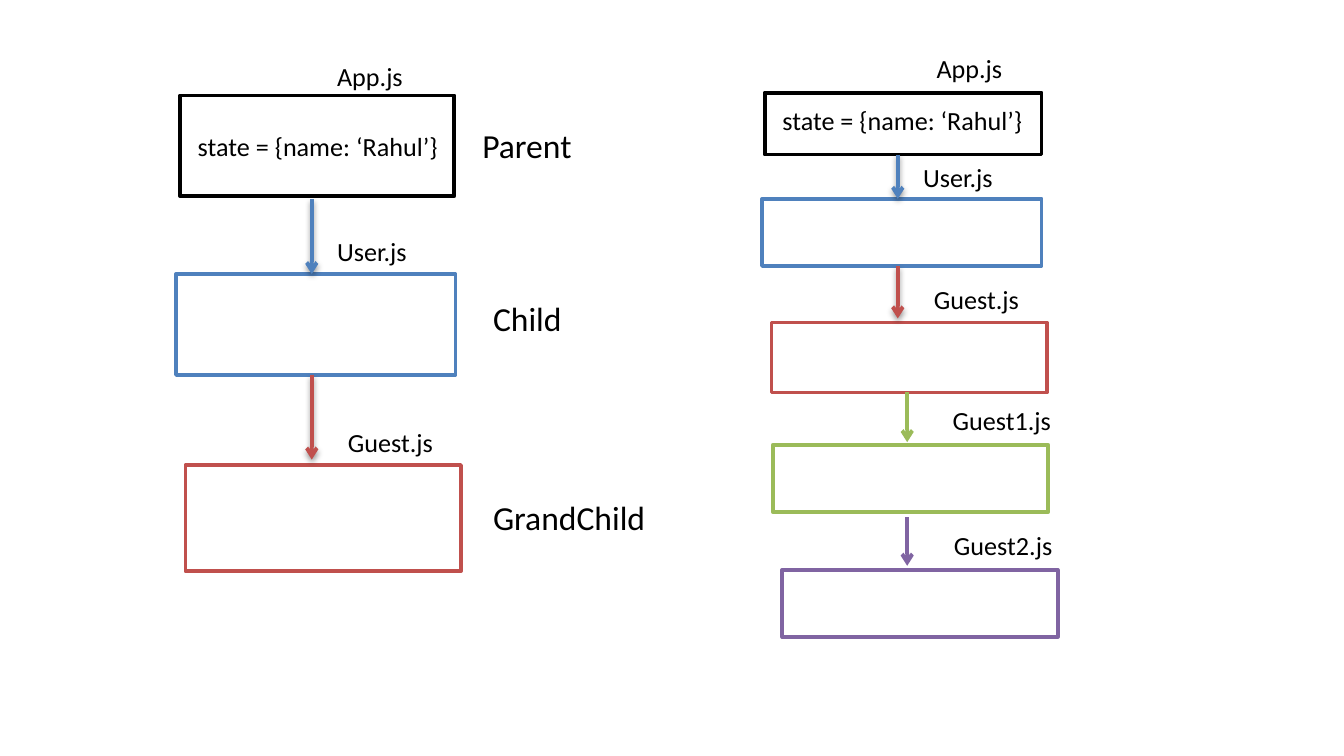
from lxml import etree
from pptx import Presentation
from pptx.dml.color import RGBColor
from pptx.enum.shapes import MSO_CONNECTOR, MSO_SHAPE
from pptx.enum.text import MSO_ANCHOR, PP_ALIGN
from pptx.oxml.ns import qn
from pptx.util import Inches, Pt

BLACK = RGBColor(0x00, 0x00, 0x00)
WHITE = RGBColor(0xFF, 0xFF, 0xFF)
BLUE = RGBColor(0x4F, 0x81, 0xBD)
RED = RGBColor(0xC0, 0x50, 0x4D)
GREEN = RGBColor(0x9B, 0xBB, 0x59)
PURPLE = RGBColor(0x80, 0x64, 0xA2)
SHADOWED = (BLUE, RED)
FONT = "Calibri"
SLIDE_W = 10
SLIDE_H = SLIDE_W * 9 / 16
LABEL_H, ROLE_H = 0.34, 0.4

# Components: file, colour, box (left, top, width, height), label (left, top, width)
COMPONENTS = [
    ("App.js", BLACK, (1.34, 0.71, 2.04, 0.75), (2.41, 0.4, 0.7)),
    ("User.js", BLUE, (1.31, 2.04, 2.08, 0.75), (2.41, 1.7, 0.73)),
    ("Guest.js", RED, (1.38, 3.46, 2.05, 0.79), (2.49, 3.12, 0.84)),
    ("App.js", BLACK, (5.69, 0.69, 2.06, 0.46), (6.87, 0.34, 0.7)),
    ("User.js", BLUE, (5.67, 1.48, 2.08, 0.5), (6.77, 1.15, 0.73)),
    ("Guest.js", RED, (5.74, 2.4, 2.05, 0.52), (6.85, 2.06, 0.84)),
    ("Guest1.js", GREEN, (5.75, 3.31, 2.05, 0.5), (6.99, 2.96, 0.94)),
    ("Guest2.js", PURPLE, (5.82, 4.24, 2.05, 0.5), (7, 3.89, 0.94)),
]
# Arrows: colour, x, start y, end y
ARROWS = [
    (BLUE, 2.32, 1.48, 2.04), (RED, 2.32, 2.79, 3.42),
    (BLUE, 6.68, 1.15, 1.48), (RED, 6.68, 1.98, 2.37),
    (GREEN, 6.75, 2.92, 3.29), (PURPLE, 6.75, 3.85, 4.21),
]
STATE = "state = {name: ‘Rahul’}"
STATE_AT = [(1.36, 0.92, 2.01), (5.71, 0.73, 2.01)]
ROLES = [
    ("Parent", (3.49, 0.88, 0.87)),
    ("Child", (3.57, 2.17, 0.72)),
    ("GrandChild", (3.57, 3.65, 1.35)),
]

prs = Presentation()
prs.slide_width, prs.slide_height = Inches(SLIDE_W), Inches(SLIDE_H)
s = prs.slides.add_slide(prs.slide_layouts[6])


def add_text(text, at, height=LABEL_H, size=14, align=PP_ALIGN.LEFT):
    left, top, width = at
    tf = s.shapes.add_textbox(*map(Inches, (left, top, width, height))).text_frame
    tf.word_wrap = False
    tf.vertical_anchor = MSO_ANCHOR.TOP
    p = tf.paragraphs[0]
    p.alignment = align
    r = p.add_run()
    r.text = text
    r.font.name, r.font.size = FONT, Pt(size)
    r.font.color.rgb = BLACK


def add_box(at, color):
    sp = s.shapes.add_shape(MSO_SHAPE.RECTANGLE, *map(Inches, at))
    sp.shadow.inherit = False
    sp.fill.solid()
    sp.fill.fore_color.rgb = WHITE
    sp.line.color.rgb = color
    sp.line.width = Pt(2)


def add_arrow(color, x, start, end):
    c = s.shapes.add_connector(MSO_CONNECTOR.STRAIGHT, *map(Inches, (x, start, x, end)))
    c.line.color.rgb = color
    c.line.width = Pt(2)
    props = c._element.spPr
    etree.SubElement(props.find(qn("a:ln")), qn("a:tailEnd"), type="arrow")
    effects = etree.SubElement(props, qn("a:effectLst"))
    if color in SHADOWED:
        shadow = etree.SubElement(
            effects, qn("a:outerShdw"), blurRad=str(Pt(3.1)), dist=str(Pt(1.6)),
            dir="5400000", rotWithShape="0")
        tint = etree.SubElement(shadow, qn("a:srgbClr"), val="000000")
        etree.SubElement(tint, qn("a:alpha"), val="38000")


# Component boxes with their file names
for name, color, box, label in COMPONENTS:
    add_box(box, color)
    add_text(name, label)

# Flow between components
for arrow in ARROWS:
    add_arrow(*arrow)

# State held by each top component
for at in STATE_AT:
    add_text(STATE, at, align=PP_ALIGN.CENTER)

# Family roles beside the left chain
for role, at in ROLES:
    add_text(role, at, height=ROLE_H, size=18)

prs.save("out.pptx")
